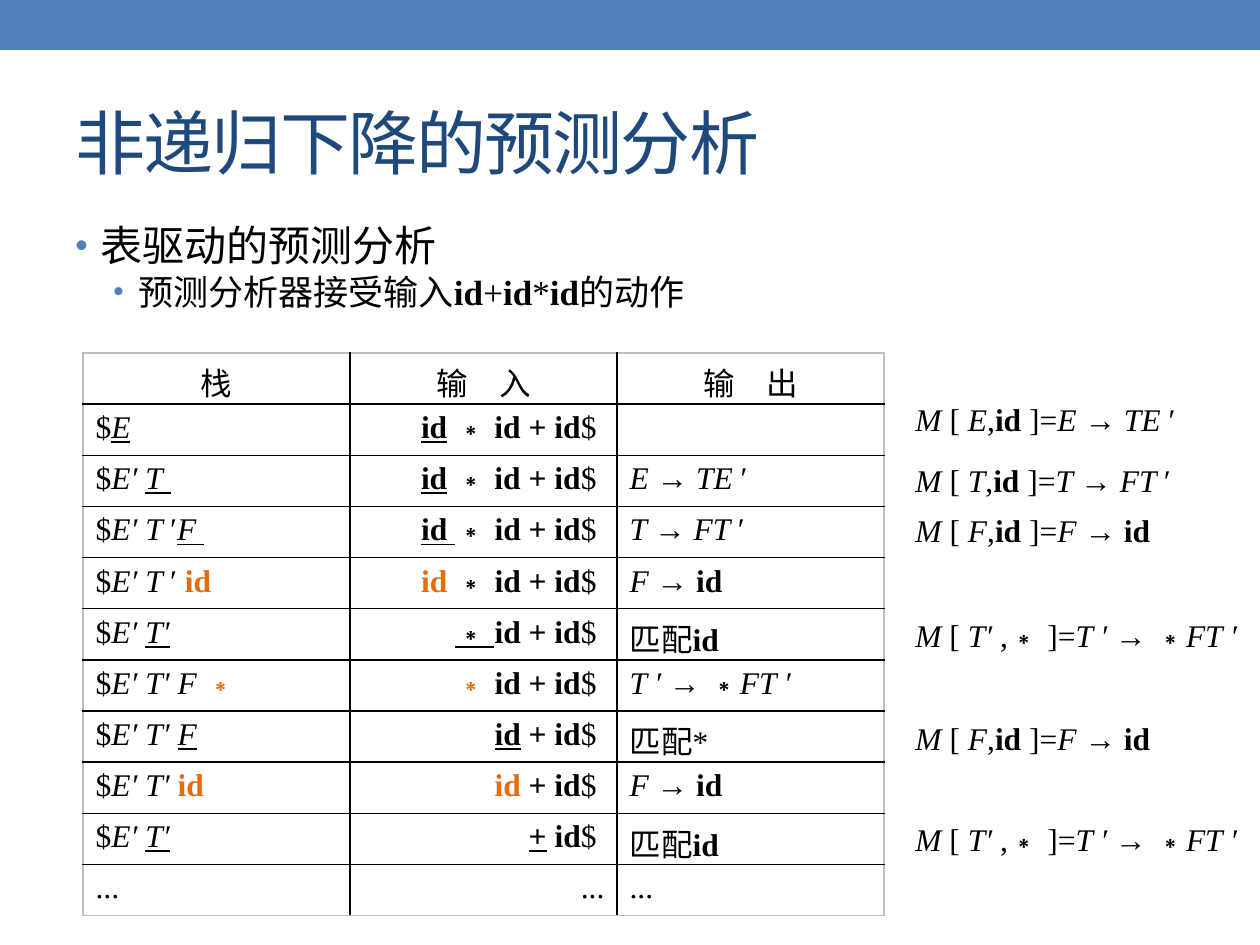
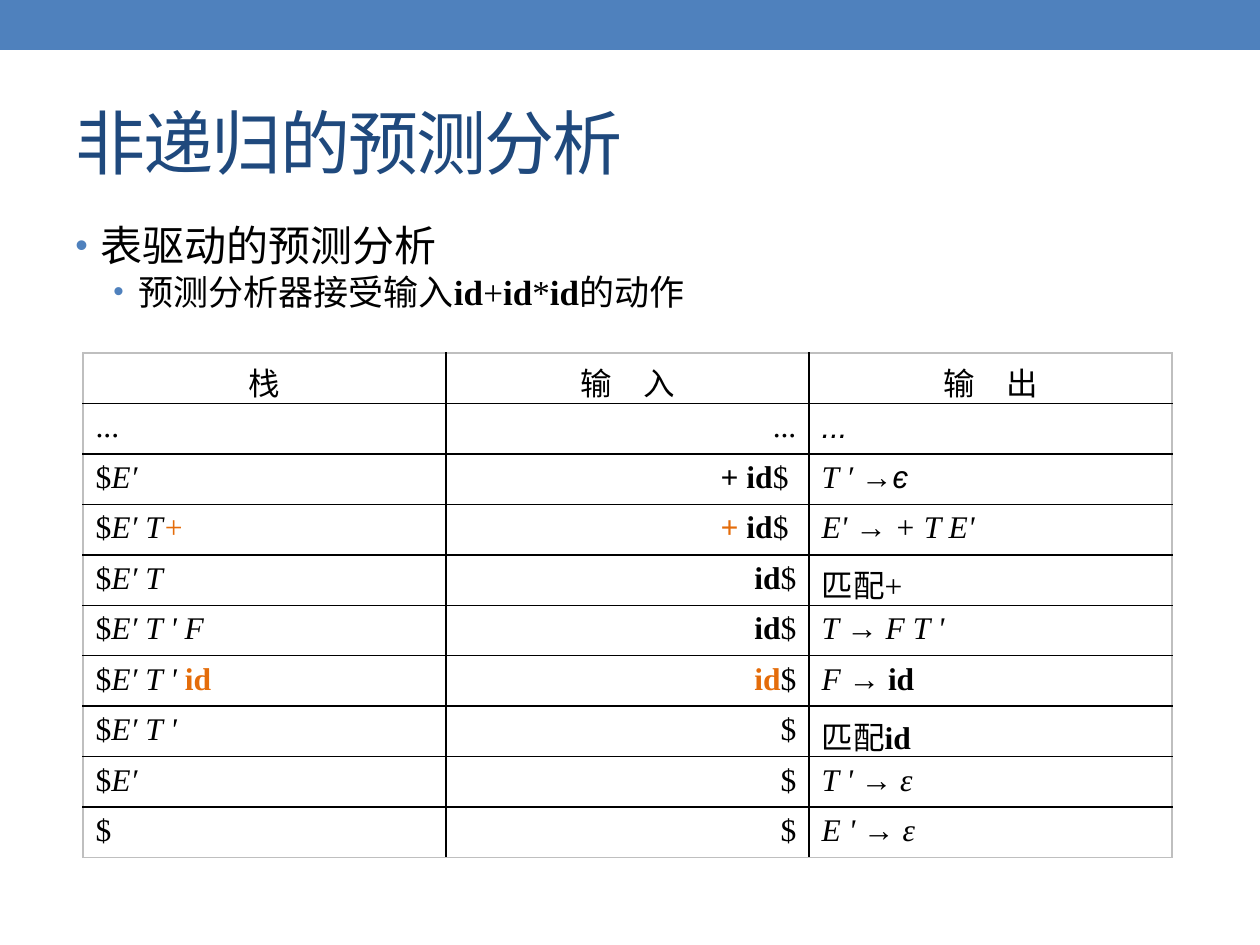
from lxml import etree
from pptx import Presentation
from pptx.dml.color import RGBColor
from pptx.enum.shapes import MSO_SHAPE
from pptx.enum.text import MSO_ANCHOR as ANCHOR, MSO_AUTO_SIZE as AUTO_SIZE, PP_ALIGN as ALIGN
from pptx.oxml.ns import qn
from pptx.util import Emu, Pt

PX = 914400 / 126
WIDTH, HEIGHT = 1260, 945
BLUE = RGBColor(0x4F, 0x81, 0xBD)
NAVY = RGBColor(0x1F, 0x49, 0x7D)
ORANGE = RGBColor(0xE4, 0x6C, 0x0A)
BLACK = RGBColor(0, 0, 0)
GRAY = RGBColor(0xBF, 0xBF, 0xBF)
SERIF, SANS = "Times New Roman", "Arial"
TITLE_ONLY = 5

HEADINGS = ("栈", "输　入", "输　出")
COLUMN_ALIGNS = (ALIGN.LEFT, ALIGN.RIGHT, ALIGN.LEFT)
TOPIC = "表驱动的预测分析"
EXAMPLE = "预测分析器接受输入|b~id|+|b~id|*|b~id|的动作"

# Runs are parted by "|"; flags before "~" are b bold, i italic, u underline, o orange, a sans.
FIRST_STEPS = [
    ("$|iu~E| ", "bu~id|b~ ∗ id + id|$ ", ""),
    ("$|i~E′ |iu~T|u~ ", "bu~id|b~ ∗ id + id|$ ", "i~E |→ |i~TE |′"),
    ("$|i~E′ T |′|iu~F|u~ ", "bu~id |b~∗ id + id|$ ", "i~T |→ |i~FT |′"),
    ("$|i~E′ T |′ |bo~id", "bo~id |b~∗ id + id|$ ", "i~F |→ |b~id"),
    ("$|i~E′ |iu~T′", "bu~∗ |b~id + id|$ ", "匹配|b~id"),
    ("$|i~E′ T′ F |bo~∗", "bo~∗|b~ id + id|$ ", "i~T ′ → ∗FT ′"),
    ("$|i~E′ T′ |iu~F| ", "bu~id|b~ + id|$ ", "匹配*"),
    ("$|i~E′ T′ |bo~id", "bo~id|b~ + id|$ ", "i~F → |b~id"),
    ("$|i~E′ |iu~T′", "bu~+|b~ id|$ ", "匹配|b~id"),
    ("...", "...", "..."),
]
LAST_STEPS = [
    ("...", "...", "ia~..."),
    ("$|i~E′", "b~+ id|$ ", "i~T ′ |ia~→є"),
    ("$|i~E′ T|io~+", "bo~+ |b~id|$ ", "i~E' → + T E'"),
    ("$|i~E′ T", "b~id|$", "匹配+"),
    ("$|i~E′ T ' F", "b~id|$", "i~T → F T '"),
    ("$|i~E′ T ' |bo~id", "bo~id|$", "i~F → |b~id"),
    ("$|i~E′ T '", "$", "匹配|b~id"),
    ("$|i~E′", "$", "i~T ' → ε"),
    ("$", "$", "i~E ' → ε"),
]
USE_F = "i~M |[ |i~F|,|b~id |]=|i~F |→ |b~id"
USE_T_PRIME = "i~M |[ |i~T′ |,|b~∗ |]=|i~T ′ → ∗FT ′"
TABLE_LOOKUPS = [
    (394, 294, "i~M |[ |i~E|,|b~id |]=|i~E |→ |i~TE |′"),
    (455, 294, "i~M |[|i~ T|,|b~id |]=|i~T |→ |i~FT |′"),
    (505, 294, USE_F),
    (610, 355, USE_T_PRIME),
    (713, 294, USE_F),
    (814, 355, USE_T_PRIME),
]


def px(*lengths):
    return [Emu(round(length * PX)) for length in lengths]


def add_child(parent, tag, **attributes):
    return etree.SubElement(parent, qn(tag), attributes)


class Deck:
    """Holds the style and the slide being built."""

    def __init__(self):
        self.presentation = Presentation()
        self.presentation.slide_width, self.presentation.slide_height = px(WIDTH, HEIGHT)
        self.slide = None

    def start_slide(self, heading):
        layout = self.presentation.slide_layouts[TITLE_ONLY]
        self.slide = self.presentation.slides.add_slide(layout)
        self.band()
        self.title(heading)

    def band(self):
        band = self.slide.shapes.add_shape(MSO_SHAPE.RECTANGLE, *px(0, 0, WIDTH, 50))
        band.shadow.inherit = False
        band.fill.solid()
        band.fill.fore_color.rgb = BLUE
        band.line.fill.background()

    def title(self, heading):
        title = self.slide.shapes.title
        title.left, title.top, title.width, title.height = px(63, 73, 1134, 136)
        title.text_frame.vertical_anchor = ANCHOR.MIDDLE
        paragraph = title.text_frame.paragraphs[0]
        paragraph.alignment = ALIGN.LEFT
        self.add_runs(paragraph, heading, 40, NAVY)
        for run in paragraph.runs:
            run._r.get_or_add_rPr().set("spc", "-100")

    def add_runs(self, paragraph, marked, size=18, color=BLACK):
        """Add one run for each part of the marked text."""
        for part in marked.split("|") if marked else []:
            flags, _, words = part.rpartition("~")
            run = paragraph.add_run()
            run.text = words
            run.font.color.rgb = ORANGE if "o" in flags else color
            look = {
                "name": SANS if "a" in flags else SERIF,
                "size": Pt(size),
                "bold": "b" in flags,
                "italic": "i" in flags,
                "underline": "u" in flags,
            }
            for name, value in look.items():
                setattr(run.font, name, value)

    def text_box(self, left, top, width, height):
        frame = self.slide.shapes.add_textbox(*px(left, top, width, height)).text_frame
        frame.word_wrap = True
        return frame

    def outline(self):
        frame = self.text_box(63, 220, 1134, 152)
        frame.margin_top = 0
        topic, example = frame.paragraphs[0], frame.add_paragraph()
        for paragraph, words, indent, size in ((topic, TOPIC, 25, 24), (example, EXAMPLE, 63, 20)):
            self.bullet(paragraph, indent)
            self.add_runs(paragraph, words, size)

    def bullet(self, paragraph, indent):
        properties = paragraph._p.get_or_add_pPr()
        margin, hanging = px(indent, -25)
        properties.set("marL", str(margin))
        properties.set("indent", str(hanging))
        add_child(add_child(properties, "a:buClr"), "a:srgbClr", val=str(BLUE))
        add_child(properties, "a:buSzPct", val="85000")
        add_child(properties, "a:buFont", typeface=SANS)
        add_child(properties, "a:buChar", char="•")

    def label(self, left, top, width, marked):
        frame = self.text_box(left, top, width, 50)
        frame.auto_size = AUTO_SIZE.SHAPE_TO_FIT_TEXT
        self.add_runs(frame.paragraphs[0], marked)

    def trace_table(self, steps, width, height):
        rows = [HEADINGS, *steps]
        last_row, last_column = len(rows) - 1, len(HEADINGS) - 1
        table = self.slide.shapes.add_table(
            len(rows), len(HEADINGS), *px(83, 353, width, height)).table
        table.first_row = table.horz_banding = False
        for r, row in enumerate(rows):
            for c, marked in enumerate(row):
                cell = table.cell(r, c)
                paragraph = cell.text_frame.paragraphs[0]
                paragraph.alignment = COLUMN_ALIGNS[c] if r else ALIGN.CENTER
                self.add_runs(paragraph, marked)
                self.borders(cell, L=c == 0, R=c == last_column, T=r == 0, B=r == last_row)
                cell.fill.background()

    def borders(self, cell, **outer_sides):
        """Rule the cell: gray on the table's outer sides, black inside."""
        properties = cell._tc.get_or_add_tcPr()
        for side, is_outer in outer_sides.items():
            line = add_child(properties, f"a:ln{side}", w=str(Pt(1)))
            fill = add_child(line, "a:solidFill")
            add_child(fill, "a:srgbClr", val=str(GRAY if is_outer else BLACK))


def main():
    deck = Deck()
    deck.start_slide("非递归下降的预测分析")
    deck.outline()
    deck.trace_table(FIRST_STEPS, 801, 563)
    for top, width, lookup in TABLE_LOOKUPS:
        deck.label(903, top, width, lookup)

    deck.start_slide("非递归的预测分析")
    deck.outline()
    deck.trace_table(LAST_STEPS, 1089, 504)
    deck.presentation.save("out.pptx")


if __name__ == "__main__":
    main()
